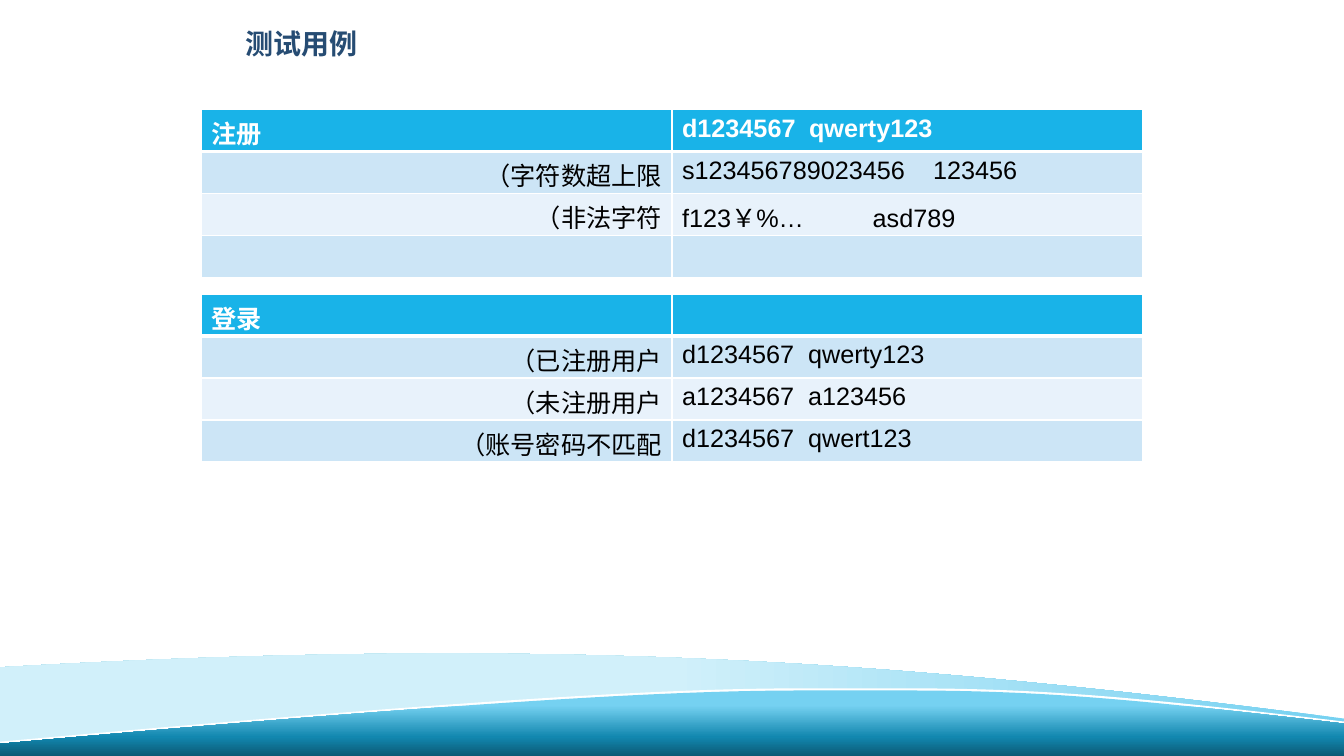
import dataclasses
import typing

import lxml.etree
import pptx
import pptx.dml.color
import pptx.enum.text
import pptx.oxml.ns
import pptx.util

Point = tuple[float, float]
Stroke = list[Point]

SLIDE_WIDTH = pptx.util.Inches(13.33)
SLIDE_HEIGHT = pptx.util.Inches(7.5)
COLUMNS, ROWS = 40, 18
FONT = "Arial"
WHITE, BLACK, NAVY = "FFFFFF", "000000", "264C73"
HEADER_FILL = "19B3E8"
BAND_FILLS = ("E8F2FB", "CCE5F6")


@dataclasses.dataclass(frozen=True)
class CaseRow:
    name: str = ""
    account: str = ""
    password: str = ""
    password_inches: float = 1.25


@dataclasses.dataclass(frozen=True)
class CaseTable:
    top: float
    rows: tuple[CaseRow, ...]


@dataclasses.dataclass(frozen=True)
class Wave:
    top: float
    bottom: float
    strokes: tuple[Stroke, ...]
    stops: tuple[tuple[int, str], ...]
    angle: int = 0


CASE_TABLES = (
    CaseTable(2.61, (
        CaseRow("注册", "d1234567", "qwerty123", 1.26),
        CaseRow("（字符数超上限", "s123456789023456", "123456", 2.49),
        CaseRow("（非法字符", "f123￥%…", "asd789", 1.89),
        CaseRow(),
    )),
    CaseTable(7, (
        CaseRow("登录"),
        CaseRow("（已注册用户", "d1234567", "qwerty123"),
        CaseRow("（未注册用户", "a1234567", "a123456"),
        CaseRow("（账号密码不匹配", "d1234567", "qwert123"),
    )),
)

CREST = [
    (0, 17.66), (15.57, 16.54), (20.64, 16.39), (23.94, 16.39),
    (25.05, 16.39), (25.95, 16.39), (26.97, 16.39),
    (31.08, 16.39), (33.93, 16.61), (40, 17.18),
]


def lower(stroke: Stroke, rows: float) -> Stroke:
    return [(x, y + rows) for x, y in stroke]


WAVES = (
    Wave(15.55, 17.78, (
        [(0, 15.89), (17.76, 15.07), (28, 15.89), (40, 17.11)],
        [(40, 17.59), (26.16, 15.38), (14.49, 17.23), (0, 17.78)],
    ), ((0, "75D1F1"), (50, "D1F0FA"), (100, "D1F0FA")), 180),
    Wave(16.39, 17.9, (CREST, lower(CREST, 0.24)[::-1]), ((0, WHITE),)),
    Wave(16.44, ROWS, (lower(CREST, 0.05), [(COLUMNS, ROWS)], [(0, ROWS)]),
         ((23, "75D1F1"), (71, "1287AF"), (100, "0C5A75")), 90),
)


def across(columns: float) -> int:
    return round(SLIDE_WIDTH * columns / COLUMNS)


def down(rows: float) -> int:
    return round(SLIDE_HEIGHT * rows / ROWS)


def colour(value: str) -> pptx.dml.color.RGBColor:
    return pptx.dml.color.RGBColor.from_string(value)


def child(parent: typing.Any, tag: str, **attributes: str) -> typing.Any:
    return lxml.etree.SubElement(parent, pptx.oxml.ns.qn(tag), attributes)


def style(paragraph: typing.Any, size: float, font_colour: str, bold: bool) -> None:
    font = paragraph.font
    font.name, font.size, font.bold = FONT, pptx.util.Pt(size), bold
    font.color.rgb = colour(font_colour)


def draw_outline(slide: typing.Any, wave: Wave) -> typing.Any:
    builder = slide.shapes.build_freeform(0, down(wave.top), scale=1.0)
    builder.add_line_segments([(across(COLUMNS), down(wave.bottom))], close=False)
    shape = builder.convert_to_shape()
    outline = next(shape._element.iter(pptx.oxml.ns.qn("a:path")))
    for element in list(outline):
        outline.remove(element)

    def segment(tag: str, points: Stroke) -> None:
        command = child(outline, tag)
        for x, y in points:
            child(command, "a:pt", x=str(across(x)), y=str(down(y) - down(wave.top)))

    for number, stroke in enumerate(wave.strokes):
        segment("a:lnTo" if number else "a:moveTo", stroke[:1])
        for start in range(1, len(stroke), 3):
            segment("a:cubicBezTo", stroke[start:start + 3])
    child(outline, "a:close")
    return shape


def draw_wave(slide: typing.Any, wave: Wave) -> None:
    shape = draw_outline(slide, wave)
    shape.shadow.inherit = False
    shape.line.fill.background()
    if len(wave.stops) == 1:
        shape.fill.solid()
        shape.fill.fore_color.rgb = colour(wave.stops[0][1])
        return
    shape.fill.gradient()
    gradient = shape._element.spPr.find(pptx.oxml.ns.qn("a:gradFill"))
    for element in list(gradient):
        gradient.remove(element)
    stop_list = child(gradient, "a:gsLst")
    for position, value in wave.stops:
        stop = child(stop_list, "a:gs", pos=str(position * 1000))
        child(stop, "a:srgbClr", val=value)
    child(gradient, "a:lin", ang=str(wave.angle * 60000), scaled="0")


def draw_title(slide: typing.Any, text: str) -> None:
    box = slide.shapes.add_textbox(across(7), down(0.27), across(3.93), down(1.3))
    frame = box.text_frame
    frame.word_wrap = False
    frame.auto_size = pptx.enum.text.MSO_AUTO_SIZE.SHAPE_TO_FIT_TEXT
    paragraph = frame.paragraphs[0]
    paragraph.text = text
    paragraph.line_spacing = 1.3
    style(paragraph, 20, NAVY, True)


def add_borders(cell: typing.Any, is_header: bool) -> None:
    properties = cell._tc.get_or_add_tcPr()
    widths = {"a:lnL": 1, "a:lnR": 1, "a:lnT": 1, "a:lnB": 3 if is_header else 1}
    for index, (tag, width) in enumerate(widths.items()):
        line = child(properties, tag, w=str(pptx.util.Pt(width)))
        child(child(line, "a:solidFill"), "a:srgbClr", val=WHITE)
        properties.insert(index, line)


def fill_cell(cell: typing.Any, row: int, text: str, tab_inches: float = 0) -> None:
    cell.fill.solid()
    cell.fill.fore_color.rgb = colour(BAND_FILLS[row % 2] if row else HEADER_FILL)
    add_borders(cell, row == 0)
    paragraph = cell.text_frame.paragraphs[0]
    if text:
        paragraph.text = text
    if tab_inches:
        tabs = child(paragraph._p.get_or_add_pPr(), "a:tabLst")
        child(tabs, "a:tab", pos=str(pptx.util.Inches(tab_inches)), algn="l")
    style(paragraph, 18, BLACK if row else WHITE, row == 0)


def draw_cases(slide: typing.Any, cases: CaseTable) -> None:
    count = len(cases.rows)
    table = slide.shapes.add_table(count, 2, across(6), down(cases.top), across(28), down(count)).table
    table.first_row = table.horz_banding = False
    for index, case in enumerate(cases.rows):
        name_cell, data_cell = table.cell(index, 0), table.cell(index, 1)
        fill_cell(name_cell, index, case.name)
        if index:
            name_cell.text_frame.paragraphs[0].alignment = pptx.enum.text.PP_ALIGN.RIGHT
        if case.account:
            fill_cell(data_cell, index, f"{case.account}\t{case.password}", case.password_inches)
        else:
            fill_cell(data_cell, index, "")


def main() -> None:
    presentation = pptx.Presentation()
    presentation.slide_width, presentation.slide_height = SLIDE_WIDTH, SLIDE_HEIGHT
    slide = presentation.slides.add_slide(presentation.slide_layouts[6])
    for wave in WAVES:
        draw_wave(slide, wave)
    draw_title(slide, "测试用例")
    for cases in CASE_TABLES:
        draw_cases(slide, cases)
    presentation.save("out.pptx")


if __name__ == "__main__":
    main()
